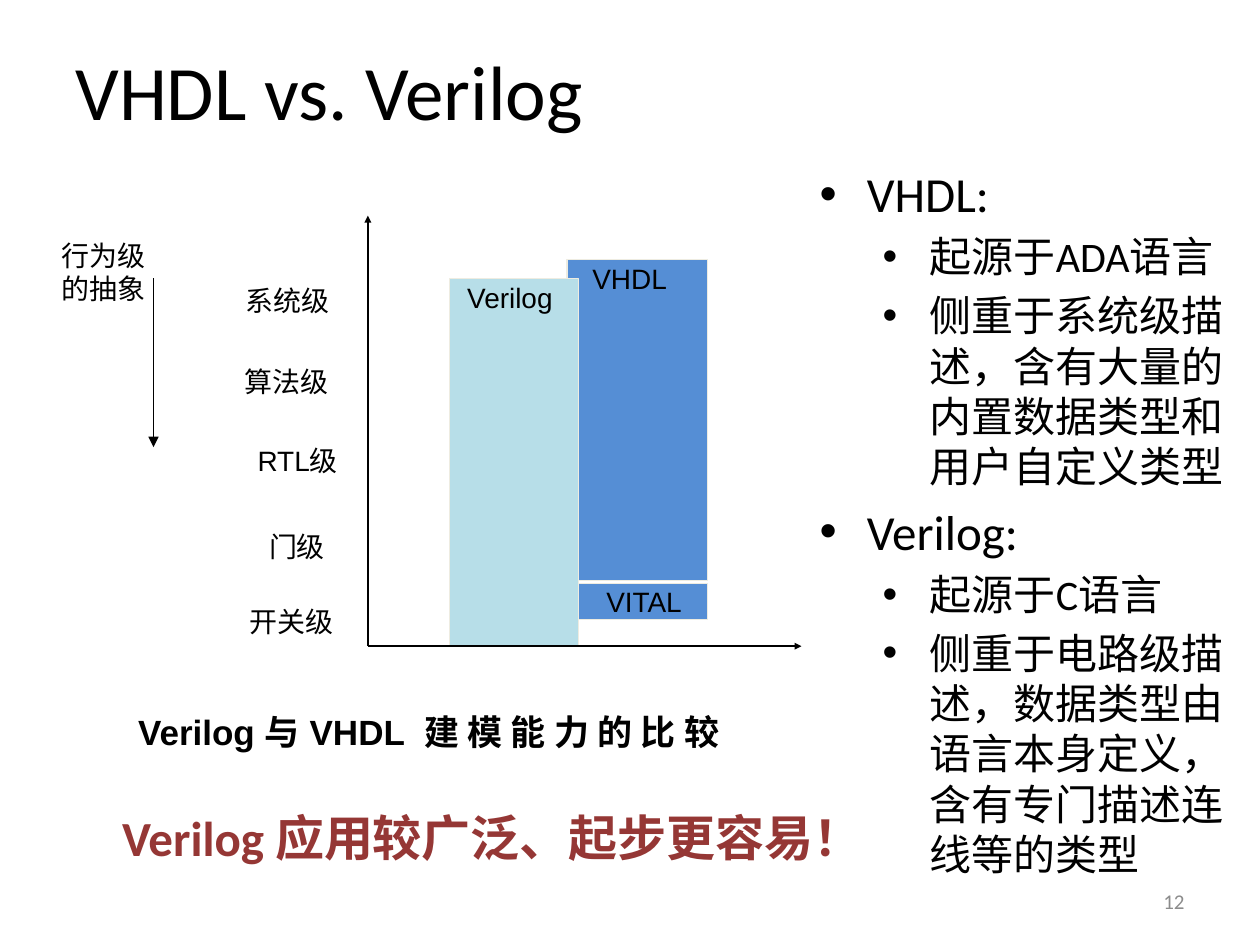
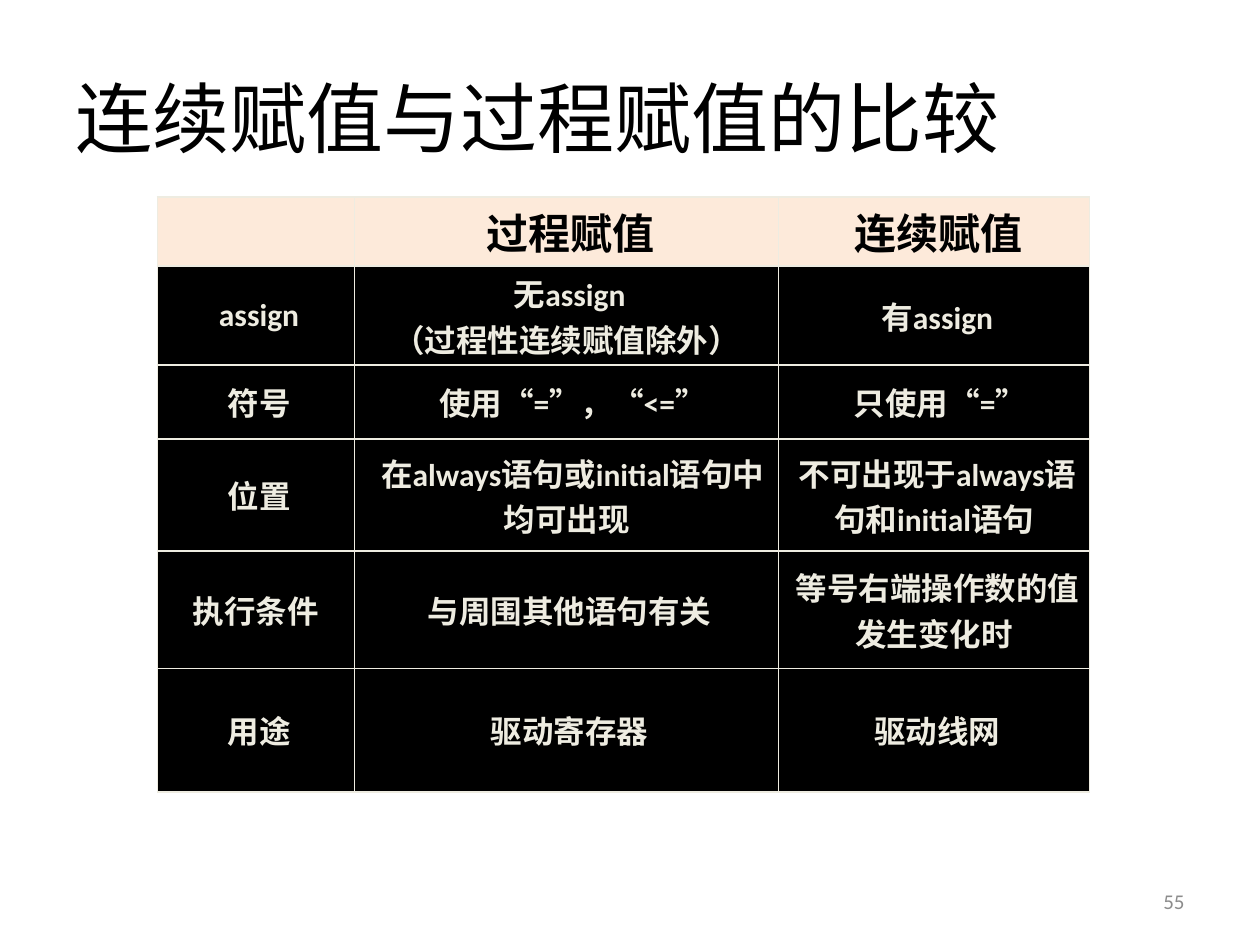
from dataclasses import dataclass

from lxml.etree import SubElement
from pptx import Presentation
from pptx.dml.color import RGBColor
from pptx.enum.shapes import MSO_CONNECTOR as Connector, MSO_SHAPE as Shape
from pptx.enum.text import MSO_ANCHOR as Anchor, PP_ALIGN as Align
from pptx.oxml.ns import qn
from pptx.util import Pt


@dataclass(frozen=True)
class Theme:
    """Colours, fonts and type sizes shared by the slides."""
    ink: str = "000000"
    pale: str = "EEECE1"
    vhdl: str = "558ED5"
    verilog: str = "B7DEE8"
    header: str = "FDEADA"
    slogan: str = "953735"
    muted: str = "8C8C8C"
    body_font: str = "Calibri"
    label_font: str = "Arial"
    cjk_font: str = "Noto Sans CJK SC"
    title: int = 44
    topic: int = 28
    point: int = 24
    caption: int = 20
    cell: int = 18
    label: int = 16
    number: int = 12


THEME = Theme()


def rgb(code):
    """Turn a hex code into a colour."""
    return RGBColor.from_string(code)


def style(paragraph, size, color=THEME.ink, font=THEME.body_font, bold=False,
          align=Align.LEFT, cjk=None):
    """Format a paragraph and its runs, East Asian font included."""
    paragraph.alignment = align
    for run in paragraph.runs:
        run.font.size = Pt(size)
        run.font.bold = bold
        run.font.name = font
        run.font.color.rgb = rgb(color)
        SubElement(run.font._element, qn("a:ea"), typeface=cjk or font)


def indent(paragraph, first, left=0):
    """Set the first-line and left indents of a paragraph."""
    properties = paragraph._p.get_or_add_pPr()
    properties.set("marL", str(Pt(left)))
    properties.set("indent", str(Pt(first)))
    return properties


def set_insets(frame, inset, left=None):
    """Give a text frame equal insets, with an optional wider left one."""
    frame.margin_top = frame.margin_right = frame.margin_bottom = Pt(inset)
    frame.margin_left = Pt(inset if left is None else left)


def add_text(slide, box, text, size, anchor=Anchor.TOP, inset=None, **look):
    """Add a wrapping text box and return its one paragraph."""
    frame = slide.shapes.add_textbox(*map(Pt, box)).text_frame
    frame.word_wrap = True
    frame.vertical_anchor = anchor
    if inset is not None:
        set_insets(frame, inset)
    frame.text = text
    style(frame.paragraphs[0], size, **look)
    return frame.paragraphs[0]


def add_label(slide, box, text):
    """Add a tight diagram label."""
    add_text(slide, box, text, THEME.label, inset=1, font=THEME.label_font)


def add_caption(slide, box, pieces):
    """Add a bold centred caption from pieces of text and letter spacing."""
    paragraph = add_text(slide, box, "", THEME.caption, inset=1)
    for text, spacing in pieces:
        run = paragraph.add_run()
        run.text = text
        run.font._element.set("spc", str(spacing))
    style(paragraph, THEME.caption, font=THEME.label_font, bold=True,
          align=Align.CENTER)


def add_bar(slide, box, text, color, left_inset, outline=0.75):
    """Add a bar of the diagram with its name at the top."""
    bar = slide.shapes.add_shape(Shape.RECTANGLE, *map(Pt, box))
    bar.shadow.inherit = False
    bar.fill.solid()
    bar.fill.fore_color.rgb = rgb(color)
    bar.line.color.rgb = rgb(THEME.pale)
    bar.line.width = Pt(outline)
    frame = bar.text_frame
    frame.vertical_anchor = Anchor.TOP
    set_insets(frame, 1, left_inset)
    frame.text = text
    style(frame.paragraphs[0], THEME.label, font=THEME.label_font)


def add_arrow(slide, start, end, head="med"):
    """Add a thin arrow pointing at its end."""
    arrow = slide.shapes.add_connector(Connector.STRAIGHT, *map(Pt, start + end))
    arrow.line.color.rgb = rgb(THEME.ink)
    arrow.line.width = Pt(1)
    SubElement(arrow.line._get_or_add_ln(), qn("a:tailEnd"),
               type="triangle", w=head, len=head)
    SubElement(arrow._element.spPr, qn("a:effectLst"))


def add_bullets(slide, box, topics):
    """Add topics with their points as a two-level bullet list."""
    frame = slide.shapes.add_textbox(*map(Pt, box)).text_frame
    frame.word_wrap = True
    lines = [(level, text) for topic, points in topics
             for level, text in [(0, topic)] + [(1, point) for point in points]]
    frame.text = "\n".join(text for _, text in lines)
    for paragraph, (level, _) in zip(frame.paragraphs, lines):
        size = THEME.point if level else THEME.topic
        paragraph.level = level
        paragraph.space_before = Pt(size * 0.2)
        style(paragraph, size)
        properties = indent(paragraph, -27, 27 + 36 * level)
        SubElement(properties, qn("a:buFont"), typeface="Arial")
        SubElement(properties, qn("a:buChar"), char="•")


def add_borders(cell):
    """Draw a thin pale line on every side of a cell."""
    properties = cell._tc.get_or_add_tcPr()
    for side in ("lnL", "lnR", "lnT", "lnB"):
        line = SubElement(properties, qn(f"a:{side}"), w=str(Pt(1)))
        fill = SubElement(line, qn("a:solidFill"))
        SubElement(fill, qn("a:srgbClr"), val=THEME.pale)


def add_comparison(slide, origin, widths, heights, rows, indents):
    """Add a table with a light header row and a dark body."""
    table = slide.shapes.add_table(
        len(rows), len(widths), *map(Pt, (*origin, sum(widths), sum(heights)))).table
    table.horz_banding = False
    for column, width in zip(table.columns, widths):
        column.width = Pt(width)
    for index, (row, height, texts) in enumerate(zip(table.rows, heights, rows)):
        row.height = Pt(height)
        if index == 0:
            fill, size, color, font = THEME.header, THEME.point, THEME.ink, THEME.cjk_font
        else:
            fill, size, color, font = THEME.ink, THEME.cell, THEME.pale, THEME.body_font
        for cell, text in zip(row.cells, texts):
            add_borders(cell)
            cell.fill.solid()
            cell.fill.fore_color.rgb = rgb(fill)
            cell.vertical_anchor = Anchor.MIDDLE
            set_insets(cell, 2)
            cell.text = text
            for paragraph in cell.text_frame.paragraphs:
                style(paragraph, size, color, font, True, Align.CENTER, THEME.cjk_font)
            indent(cell.text_frame.paragraphs[0], size * 0.2 * indents.get(text, 1))


def add_slide(deck, title, number, anchor):
    """Add a blank slide with its title and page number."""
    slide = deck.slides.add_slide(deck.slide_layouts[6])
    add_text(slide, (36, 21.6, 648, 90), title, THEME.title, anchor)
    add_text(slide, (516, 500.5, 168, 28.75), str(number), THEME.number,
             Anchor.MIDDLE, color=THEME.muted, align=Align.RIGHT)
    return slide


def add_capability_diagram(slide):
    """Draw the modelling ranges of both languages by abstraction level."""
    corner = (210.25, 369.25)
    add_arrow(slide, corner, (210.25, 123.25), "sm")
    add_bar(slide, (324, 148.25, 80.25, 183.5), "VHDL", THEME.vhdl, 14.5)
    add_bar(slide, (330.5, 333.25, 73.75, 20.75), "VITAL", THEME.vhdl, 16, 0.5)
    add_bar(slide, (257, 159.25, 73.5, 210.25), "Verilog", THEME.verilog, 10)
    add_arrow(slide, corner, (458, 369.25), "sm")
    levels = [("系统级", 139.5, 161, 57), ("算法级", 138.75, 207.5, 57),
              ("RTL级", 146.25, 252.75, 50), ("门级", 152.75, 301.5, 72),
              ("开关级", 141.75, 344.25, 55.5)]
    for level, left, top, width in levels:
        add_label(slide, (left, top, width, 25), level)
    add_label(slide, (34, 135.25, 59, 56), "行为级的抽象")
    add_arrow(slide, (87.75, 159), (87.75, 255.5))
    add_caption(slide, (34, 405, 422, 25), [
        ("Verilog 与 VHDL", 0), (" ", 550), ("建 模 能 力 的 比 较", -43)])


def build_languages(deck):
    """Build the slide that compares the two languages."""
    slide = add_slide(deck, "VHDL vs. Verilog", 12, Anchor.TOP)
    add_capability_diagram(slide)
    add_bullets(slide, (461.25, 90, 264, 356.5), [
        ("VHDL:", ["起源于ADA语言",
                   "侧重于系统级描述，含有大量的内置数据类型和用户自定义类型"]),
        ("Verilog:", ["起源于C语言",
                      "侧重于电路级描述，数据类型由语言本身定义，含有专门描述连线等的类型"]),
    ])
    add_text(slide, (50.5, 450, 433.5, 56), "Verilog 应用较广泛、起步更容易！",
             THEME.topic, Anchor.MIDDLE, color=THEME.slogan, bold=True,
             align=Align.CENTER)


def build_assignments(deck):
    """Build the slide that compares the two kinds of assignment."""
    slide = add_slide(deck, "连续赋值与过程赋值的比较", 55, Anchor.MIDDLE)
    symbols, only_symbol = "使用“=”，“<=”", "只使用“=”"
    places, condition = "在always语句或initial语句中均可出现", "执行条件"
    add_comparison(slide, (90, 112.5), (112.5, 242.5, 177.75),
                   (39.5, 56.5, 42.5, 64, 67, 70.5), [
        ("", "过程赋值", "连续赋值"),
        ("assign", "无assign\n（过程性连续赋值除外）", "有assign"),
        ("符号", symbols, only_symbol),
        ("位置", places, "不可出现于always语句和initial语句"),
        (condition, "与周围其他语句有关", "等号右端操作数的值发生变化时"),
        ("用途", "驱动寄存器", "驱动线网"),
    ], {symbols: 2, only_symbol: 2, places: 2, condition: 0})


def main():
    """Build and save the deck."""
    deck = Presentation()
    deck.slide_width, deck.slide_height = Pt(720), Pt(540)
    build_languages(deck)
    build_assignments(deck)
    deck.save("out.pptx")


main()
